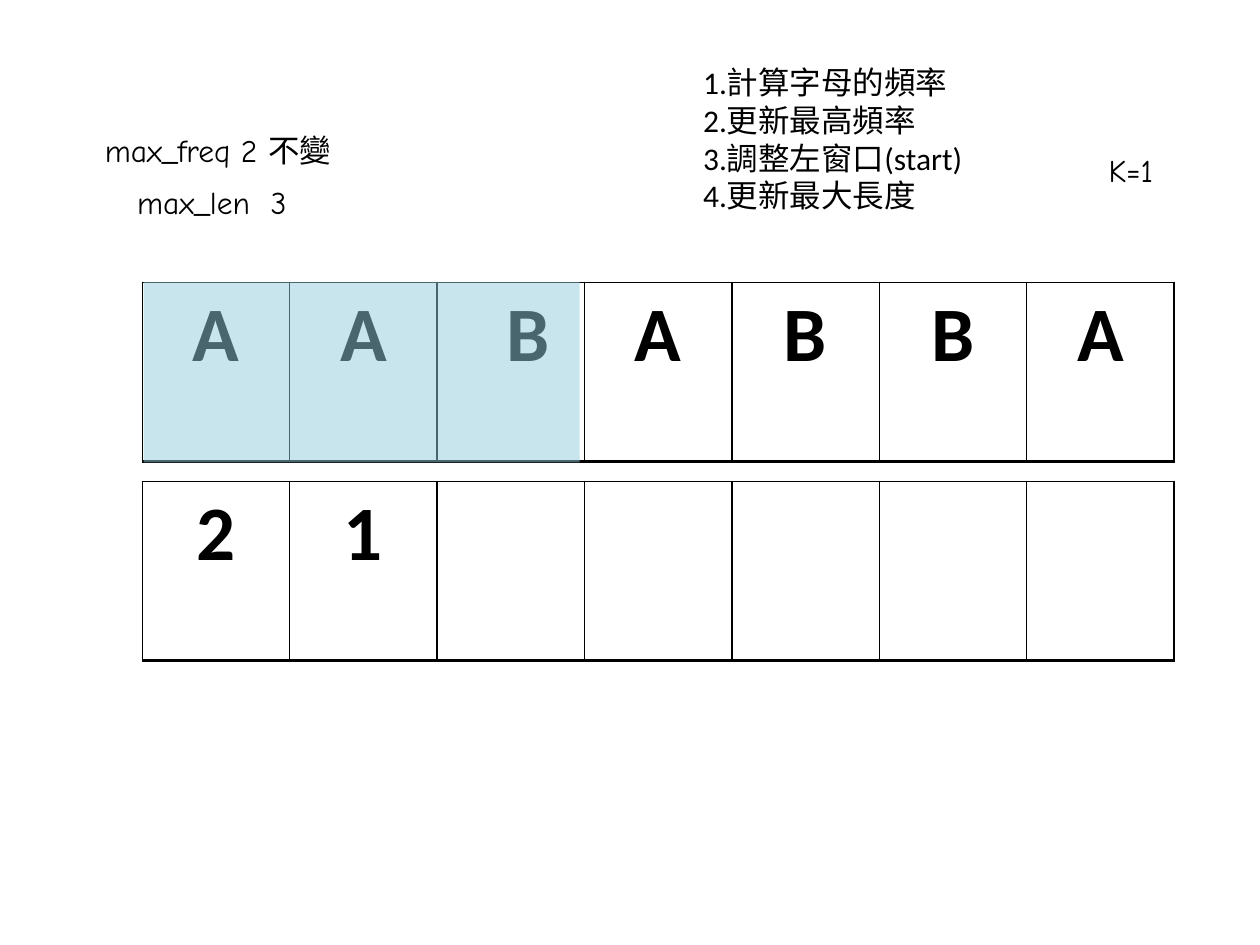
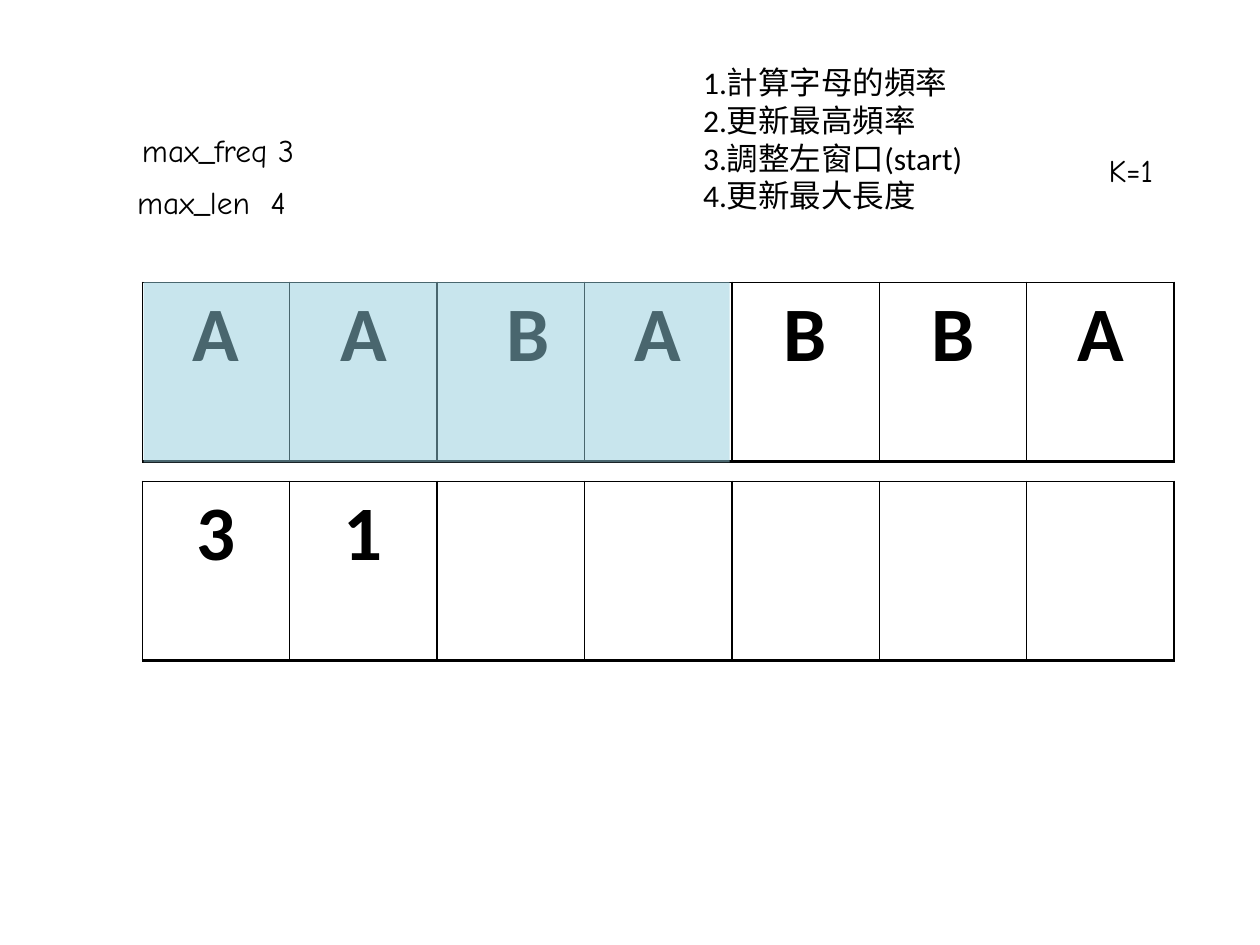
from dataclasses import dataclass

from lxml import etree
from pptx import Presentation
from pptx.dml.color import RGBColor
from pptx.enum.shapes import MSO_SHAPE
from pptx.enum.text import MSO_ANCHOR, MSO_AUTO_SIZE, PP_ALIGN
from pptx.oxml.ns import qn
from pptx.util import Inches, Pt

RECTANGLE = MSO_SHAPE.RECTANGLE
TOP = MSO_ANCHOR.TOP
GROW = MSO_AUTO_SIZE.SHAPE_TO_FIT_TEXT
LEFT, CENTER = PP_ALIGN.LEFT, PP_ALIGN.CENTER


@dataclass(frozen=True)
class Theme:
    ink: str = "000000"
    window: str = "93CDDD"
    window_alpha: int = 50
    note_font: str = "Comic Neue"
    main_font: str = "Calibri"
    note_size: int = 18
    letter_size: int = 44


THEME = Theme()

# Grid of seven letters, with the frequency counts below it
COLUMNS = 7
CELL_WIDTH = 1.17
CELL_HEIGHT = 1.42
GRID_LEFT = 1.13
LETTERS_TOP, COUNTS_TOP = 2.24, 3.82
BORDERS = (("a:lnL", 1), ("a:lnR", 1), ("a:lnT", 1), ("a:lnB", 2))

LETTERS = "AABABBA"
SHIFTED_LETTER = 2
STEPS = ["1.計算字母的頻率", "2.更新最高頻率", "3.調整左窗口(start)", "4.更新最大長度"]

# What changes from one step of the sliding window to the next
STATES = [
    dict(freq="max_freq 2 不變", freq_box=(0.65, 0.99, 2.16, 0.4),
         length="3", counts="21", window_width=3.46),
    dict(freq="max_freq 3", freq_box=(0.94, 0.99, 1.58, 0.4),
         length="4", counts="31", window_width=4.65),
]


def write(frame, lines, font=THEME.note_font, size=THEME.note_size,
          bold=False, align=LEFT):
    """Fill a text frame, one paragraph per line."""
    for index, line in enumerate(lines):
        paragraph = frame.paragraphs[0] if index == 0 else frame.add_paragraph()
        paragraph.alignment = align
        run = paragraph.add_run()
        run.text = line
        run.font.name = font
        run.font.size = Pt(size)
        run.font.bold = bold
        run.font.color.rgb = RGBColor.from_string(THEME.ink)


def add_note(slide, box, text, align=LEFT, tab=None):
    frame = slide.shapes.add_textbox(*map(Inches, box)).text_frame
    frame.word_wrap = False
    frame.auto_size = GROW
    write(frame, [text], align=align)
    if tab:
        properties = frame.paragraphs[0]._p.get_or_add_pPr()
        stops = etree.SubElement(properties, qn("a:tabLst"))
        etree.SubElement(stops, qn("a:tab"), pos=str(Inches(tab)), algn="l")


def add_steps(slide):
    """Put the algorithm's steps in the body placeholder, without bullets."""
    body = slide.placeholders[1]
    body.left, body.top, body.width, body.height = map(
        Inches, (5.48, 0.45, 2.28, 1.31))
    frame = body.text_frame
    frame.word_wrap = True
    frame.auto_size = GROW
    frame.vertical_anchor = TOP
    write(frame, STEPS, font=THEME.main_font)
    for paragraph in frame.paragraphs:
        paragraph.space_before = Pt(0)
        properties = paragraph._p.get_or_add_pPr()
        properties.set("marL", "0")
        properties.set("indent", "0")
        etree.SubElement(properties, qn("a:buNone"))


def set_borders(cell):
    properties = cell._tc.get_or_add_tcPr()
    for position, (edge, points) in enumerate(BORDERS):
        line = etree.Element(qn(edge), w=str(Pt(points)))
        fill = etree.SubElement(line, qn("a:solidFill"))
        etree.SubElement(fill, qn("a:srgbClr"), val=THEME.ink)
        properties.insert(position, line)


def add_grid(slide, top, entries):
    """Add a one-row table and return its cells."""
    table = slide.shapes.add_table(
        1, COLUMNS, Inches(GRID_LEFT), Inches(top),
        Inches(COLUMNS * CELL_WIDTH), Inches(CELL_HEIGHT)).table
    table.first_row = False
    table.horz_banding = False
    table.rows[0].height = Inches(CELL_HEIGHT)
    for column in table.columns:
        column.width = Inches(CELL_WIDTH)
    cells = list(table.iter_cells())
    for cell in cells:
        cell.fill.background()
        set_borders(cell)
    for cell, entry in zip(cells, entries):
        write(cell.text_frame, [entry], font=THEME.main_font,
              size=THEME.letter_size, bold=True, align=CENTER)
    return cells


def add_window(slide, width):
    """Lay the translucent window over the letters."""
    window = slide.shapes.add_shape(
        RECTANGLE, Inches(1.14), Inches(LETTERS_TOP), Inches(width), Inches(1.43))
    window.shadow.inherit = False
    window.line.fill.background()
    window.fill.solid()
    window.fill.fore_color.rgb = RGBColor.from_string(THEME.window)
    color = window._element.spPr.find(qn("a:solidFill")).find(qn("a:srgbClr"))
    etree.SubElement(color, qn("a:alpha"), val=str(THEME.window_alpha * 1000))


def add_state(deck, freq, freq_box, length, counts, window_width):
    slide = deck.slides.add_slide(deck.slide_layouts[1])
    title = slide.shapes.title._element
    title.getparent().remove(title)

    # Letters, window and counts
    letters = add_grid(slide, LETTERS_TOP, LETTERS)
    letters[SHIFTED_LETTER].margin_left = Inches(0.37)
    add_window(slide, window_width)
    add_grid(slide, COUNTS_TOP, counts)

    # Values and steps
    add_note(slide, freq_box, freq, align=CENTER)
    add_note(slide, (0.99, 1.4, 1.48, 0.4), f"max_len\t{length}", tab=1.06)
    add_note(slide, (8.7, 1.15, 0.6, 0.4), "K=1")
    add_steps(slide)


def main():
    deck = Presentation()
    deck.slide_width, deck.slide_height = Inches(10), Inches(7.5)
    for state in STATES:
        add_state(deck, **state)
    deck.save("out.pptx")


main()
